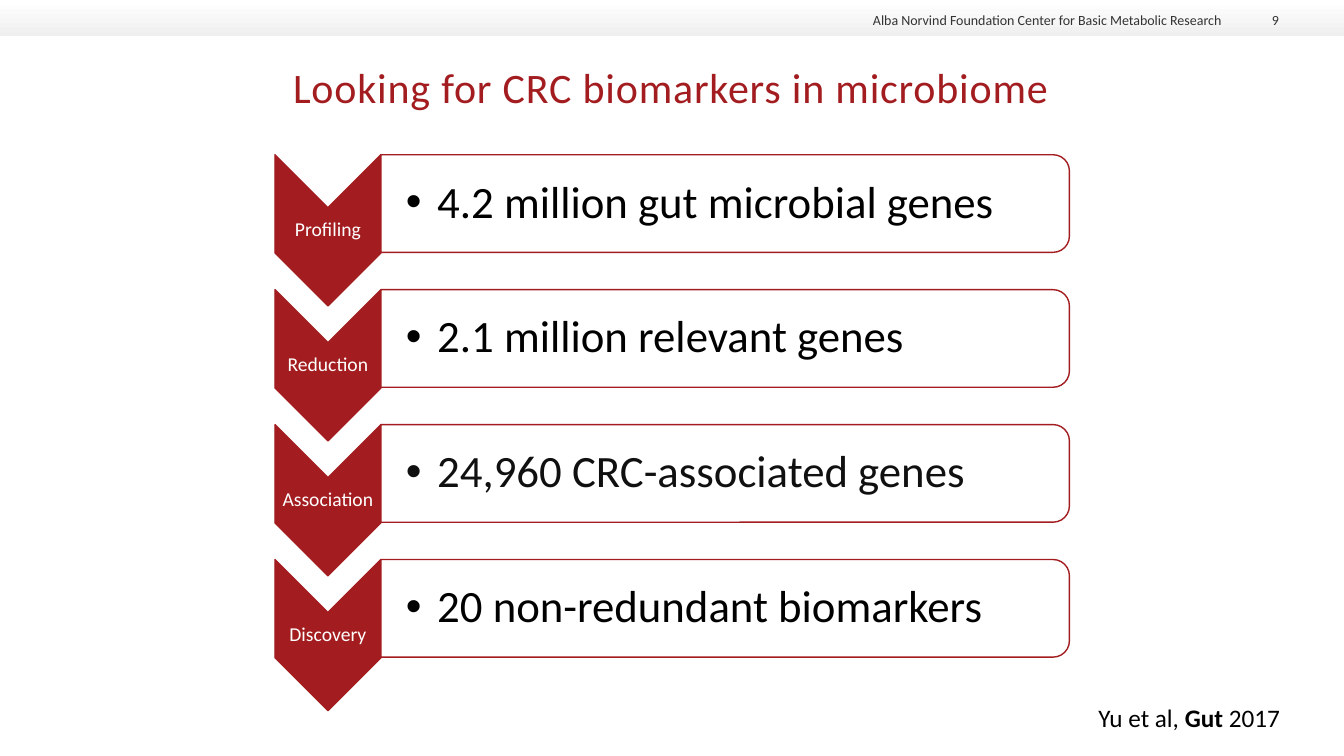
"""Builds a slide of four steps narrowing gut genes down to CRC biomarkers."""
from lxml import etree
from pptx import Presentation
from pptx import util as u
from pptx.dml.color import RGBColor
from pptx.enum import shapes, text
from pptx.oxml.ns import qn

COLORS = {"red": "A31D20", "white": "FFFFFF", "grey": "EEEFEE",
          "black": "000000", "ink": "101010", "small": "333333"}
STEPS = [("Profiling", "4.2 million gut microbial genes", "black"),
         ("Reduction", "2.1 million relevant genes", "black"),
         ("Association", "24,960 CRC-associated genes", "ink"),
         ("Discovery", "20 non-redundant biomarkers", "black")]
STEP_TOP, STEP_PITCH = 3.9, 3.4
LEFT, CENTER, RIGHT = text.PP_ALIGN.LEFT, text.PP_ALIGN.CENTER, text.PP_ALIGN.RIGHT
MIDDLE, BOTTOM = text.MSO_ANCHOR.MIDDLE, text.MSO_ANCHOR.BOTTOM


def rgb(name):
    """Return the named colour."""
    return RGBColor.from_string(COLORS[name])


def set_all(obj, values):
    """Set each attribute of obj from a dict."""
    for name, value in values.items():
        setattr(obj, name, value)


def place(sp, x, y, w, h):
    """Move and size a shape, in centimetres."""
    set_all(sp, {"left": u.Cm(x), "top": u.Cm(y), "width": u.Cm(w), "height": u.Cm(h)})


def write(sp, runs, size, color, align=LEFT, anchor=MIDDLE, inset=0, left=None, wrap=True):
    """Fill a shape with one paragraph of (text, bold) runs and return it."""
    tf, pad = sp.text_frame, u.Cm(inset)
    set_all(tf, {"word_wrap": wrap, "vertical_anchor": anchor,
                 "margin_left": pad if left is None else u.Cm(left),
                 "margin_top": pad, "margin_right": pad, "margin_bottom": pad})
    p = tf.paragraphs[0]
    p.alignment = align
    for words, bold in runs:
        r = p.add_run()
        r.text = words
        set_all(r.font, {"name": "Calibri", "size": u.Pt(size), "bold": bold})
        r.font.color.rgb = rgb(color)
    return p


def add_text(s, box, runs, size, color, **layout):
    """Add a text box and return its paragraph."""
    sp = s.shapes.add_textbox(*map(u.Cm, box))
    return write(sp, runs, size, color, **layout)


def add_bullet(p, indent):
    """Give a paragraph a round bullet with a hanging indent."""
    pPr = p._p.get_or_add_pPr()
    pPr.set("marL", str(u.Cm(indent)))
    pPr.set("indent", str(-u.Cm(indent)))
    etree.SubElement(pPr, qn("a:buFont")).set("typeface", "Arial")
    etree.SubElement(pPr, qn("a:buChar")).set("char", "•")


def add_turned(s, kind, x, y, w, h, fill):
    """Add a shape turned a quarter clockwise that covers the given box."""
    sp = s.shapes.add_shape(kind, 0, 0, 0, 0)
    place(sp, x + (w - h) / 2, y + (h - w) / 2, h, w)
    sp.rotation = 90
    sp.shadow.inherit = False
    sp.fill.solid()
    sp.fill.fore_color.rgb = rgb(fill)
    sp.line.color.rgb = rgb("red")
    sp.line.width = u.Pt(1)


def add_step(s, y, label, finding, color):
    """Add a chevron with its label and the panel with its finding."""
    add_turned(s, shapes.MSO_SHAPE.CHEVRON, 6.93, y, 2.67, 3.81, "red")
    p = add_text(s, (6.93, y + 1.33, 2.67, 1.14), [(label, False)], 14, "white",
                 align=CENTER, inset=0.02)
    p.line_spacing = 0.9
    add_turned(s, shapes.MSO_SHAPE.ROUND_2_SAME_RECTANGLE, 9.6, y, 17.35, 2.46, "white")
    p = add_text(s, (9.6, y + 0.11, 17.22, 2.24), [(finding, False)], 32, color,
                 inset=0.05, left=0.63)
    add_bullet(p, 0.79)
    p.line_spacing = 0.9


def add_header(s, width):
    """Add the shaded band with the centre's name and the page number."""
    sp = s.shapes.add_shape(shapes.MSO_SHAPE.RECTANGLE, 0, 0, width, u.Cm(0.92))
    sp.shadow.inherit = False
    sp.line.fill.background()
    sp.fill.gradient()
    sp.fill.gradient_angle = 270
    for stop, name in zip(sp.fill.gradient_stops, ("white", "grey")):
        stop.color.rgb = rgb(name)
    center = "Alba Norvind Foundation Center for Basic Metabolic Research"
    for box, words in (((11.4, 0.23, 19.38, 0.48), center), ((31.17, 0.23, 1.06, 0.48), "9")):
        add_text(s, box, [(words, False)], 10, "small", align=RIGHT, anchor=BOTTOM)


def add_title(s, words):
    """Format the title placeholder."""
    place(s.shapes.title, 1.63, 0.99, 30.58, 2.41)
    p = write(s.shapes.title, [(words, False)], 30, "red", align=CENTER)
    p.runs[0].font._element.set("spc", "60")


def main():
    """Build and save the slide."""
    prs = Presentation()
    set_all(prs, {"slide_width": u.Cm(33.87), "slide_height": u.Cm(19.05)})
    s = prs.slides.add_slide(prs.slide_layouts[5])
    add_header(s, prs.slide_width)
    add_title(s, "Looking for CRC biomarkers in microbiome")
    for i, step in enumerate(STEPS):
        add_step(s, STEP_TOP + i * STEP_PITCH, *step)
    add_text(s, (27.43, 17.58, 5.72, 1.02),
             [("Yu et al, ", False), ("Gut ", True), ("2017", False)], 18, "black",
             inset=0.13, left=0.25, wrap=False)
    prs.save("out.pptx")


if __name__ == "__main__":
    main()
